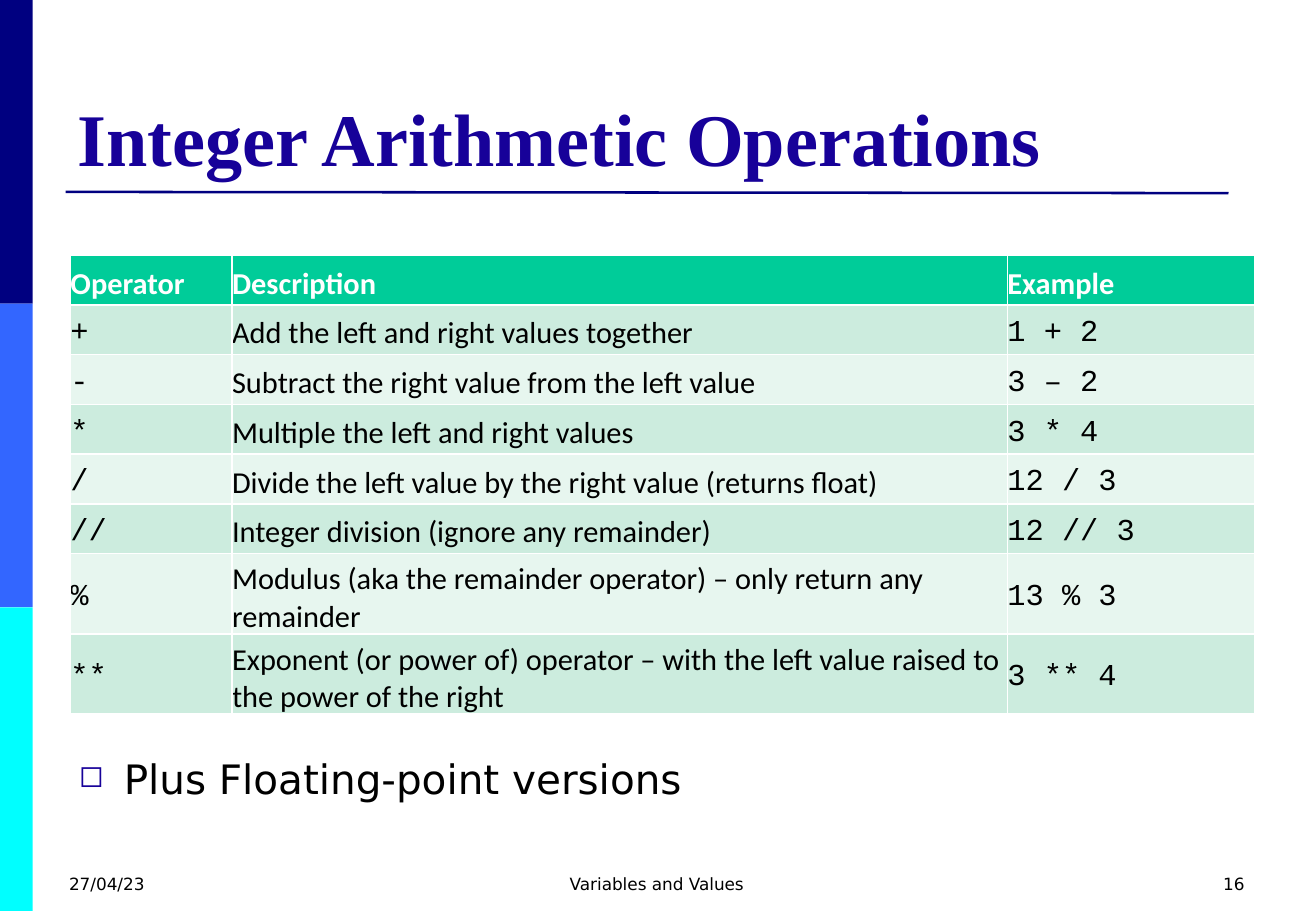
from pptx import Presentation
from pptx.dml.color import RGBColor
from pptx.enum.shapes import MSO_CONNECTOR, MSO_SHAPE
from pptx.enum.text import MSO_ANCHOR, PP_ALIGN
from pptx.oxml.ns import qn
from pptx.util import Inches, Pt
from lxml.etree import SubElement

NAVY = RGBColor(0x00, 0x00, 0x80)
BLUE = RGBColor(0x33, 0x66, 0xFF)
CYAN = RGBColor(0x00, 0xFF, 0xFF)
INDIGO = RGBColor(0x17, 0x01, 0x99)
GREEN = RGBColor(0x00, 0xCC, 0x99)
MINT = RGBColor(0xCC, 0xEC, 0xDE)
PALE_MINT = RGBColor(0xE7, 0xF6, 0xEF)
BLACK = RGBColor(0x00, 0x00, 0x00)
WHITE = RGBColor(0xFF, 0xFF, 0xFF)

SERIF, SANS, BODY, CODE = "Times New Roman", "DejaVu Sans", "Calibri", "Courier New"

HEADINGS = ("Operator", "Description", "Example")
OPERATIONS = [
    ("+", "Add the left and right values together", "1 + 2"),
    ("-", "Subtract the right value from the left value", "3 – 2"),
    ("*", "Multiple the left and right values", "3 * 4"),
    ("/", "Divide the left value by the right value (returns float)", "12 / 3"),
    ("//", "Integer division (ignore any remainder)", "12 // 3"),
    ("%", "Modulus (aka the remainder operator) – only return any remainder", "13 % 3"),
    ("**", "Exponent (or power of) operator – with the left value raised to "
           "the power of the right", "3 ** 4"),
]
COLUMN_WIDTHS = (1.33, 6.38, 2.04)
ROW_HEIGHTS = [0.41] * 6 + [0.66] * 2


def set_font(para, name, size, color, bold=False):
    font = para.font
    font.name, font.size, font.bold = name, Pt(size), bold
    font.color.rgb = color


def add_text(page, box, text, align=PP_ALIGN.LEFT, anchor=MSO_ANCHOR.TOP):
    frame = page.shapes.add_textbox(*map(Inches, box)).text_frame
    frame.word_wrap = True
    frame.vertical_anchor = anchor
    para = frame.paragraphs[0]
    para.text = text
    para.alignment = align
    return para


def add_side_bands(page, box):
    left, top, width, height = box
    colors = (NAVY, BLUE, CYAN)
    band_height = height / len(colors)
    for index, color in enumerate(colors):
        band = page.shapes.add_shape(
            MSO_SHAPE.RECTANGLE, Inches(left), Inches(top + index * band_height),
            Inches(width), Inches(band_height))
        band.shadow.inherit = False
        band.fill.solid()
        band.fill.fore_color.rgb = color
        band.line.fill.background()


def add_title(page, box):
    left, top, width, height = box
    para = add_text(page, box, "Integer Arithmetic Operations", anchor=MSO_ANCHOR.BOTTOM)
    set_font(para, SERIF, 44, INDIGO, bold=True)

    # Rule under the title
    rule_top = top + height + 0.04
    rule = page.shapes.add_connector(
        MSO_CONNECTOR.STRAIGHT, Inches(left), Inches(rule_top),
        Inches(left + width - 0.18), Inches(rule_top + 0.01))
    rule.line.color.rgb = NAVY
    rule.line.width = Pt(1.5)
    SubElement(rule._element.spPr, qn("a:effectLst"))


def add_borders(cell):
    properties = cell._tc.get_or_add_tcPr()
    for index, side in enumerate(("lnL", "lnR", "lnT", "lnB")):
        border = properties.makeelement(qn(f"a:{side}"), {"w": str(Pt(1))})
        fill = SubElement(border, qn("a:solidFill"))
        SubElement(fill, qn("a:srgbClr"), val=str(WHITE))
        properties.insert(index, border)


def style_cell(cell, text, fill, font, color, bold):
    cell.text = text
    cell.vertical_anchor = MSO_ANCHOR.MIDDLE
    cell.margin_left = cell.margin_bottom = 0
    cell.margin_top = cell.margin_right = Inches(0.06)
    cell.fill.solid()
    cell.fill.fore_color.rgb = fill
    add_borders(cell)
    set_font(cell.text_frame.paragraphs[0], font, 18, color, bold)


def add_operations_table(page, box):
    rows = [HEADINGS, *OPERATIONS]
    table = page.shapes.add_table(len(rows), len(HEADINGS), *map(Inches, box)).table
    for column, width in zip(table.columns, COLUMN_WIDTHS):
        column.width = Inches(width)
    for row, height in zip(table.rows, ROW_HEIGHTS):
        row.height = Inches(height)
    for row_index, texts in enumerate(rows):
        for column_index, text in enumerate(texts):
            cell = table.cell(row_index, column_index)
            if row_index == 0:
                style_cell(cell, text, GREEN, BODY, WHITE, True)
            else:
                fill = MINT if row_index % 2 else PALE_MINT
                font = BODY if column_index == 1 else CODE
                style_cell(cell, text, fill, font, BLACK, False)


def add_bullet(page, box):
    para = add_text(page, box, "Plus Floating-point versions")
    para.line_spacing = 1.25
    properties = para._p.get_or_add_pPr()
    properties.set("marL", str(Inches(0.37)))
    properties.set("indent", str(-Inches(0.37)))
    color = SubElement(properties, qn("a:buClr"))
    SubElement(color, qn("a:srgbClr"), val=str(INDIGO))
    SubElement(properties, qn("a:buSzPct"), val="75000")
    SubElement(properties, qn("a:buChar"), char="◻")
    set_font(para, SANS, 24, BLACK)


def add_footer(page, box):
    left, top, width, height = box
    parts = [
        ("27/04/23", left, 2.53, PP_ALIGN.LEFT),
        ("Variables and Values", left + (width - 3.43) / 2, 3.43, PP_ALIGN.CENTER),
        ("16", left + width - 2.53, 2.53, PP_ALIGN.RIGHT),
    ]
    for text, part_left, part_width, align in parts:
        para = add_text(page, (part_left, top, part_width, height), text, align)
        set_font(para, SANS, 10, BLACK)


def main():
    deck = Presentation()
    deck.slide_width, deck.slide_height = Inches(10.83), Inches(7.5)
    page = deck.slides.add_slide(deck.slide_layouts[6])
    add_side_bands(page, (0, 0, 0.27, 7.5))
    add_title(page, (0.54, 0.3, 9.75, 1.24))
    add_operations_table(page, (0.58, 2.1, sum(COLUMN_WIDTHS), sum(ROW_HEIGHTS)))
    add_footer(page, (0.47, 7.14, 9.87, 0.36))
    add_bullet(page, (0.55, 6.06, 9.75, 0.86))
    deck.save("out.pptx")


if __name__ == "__main__":
    main()
